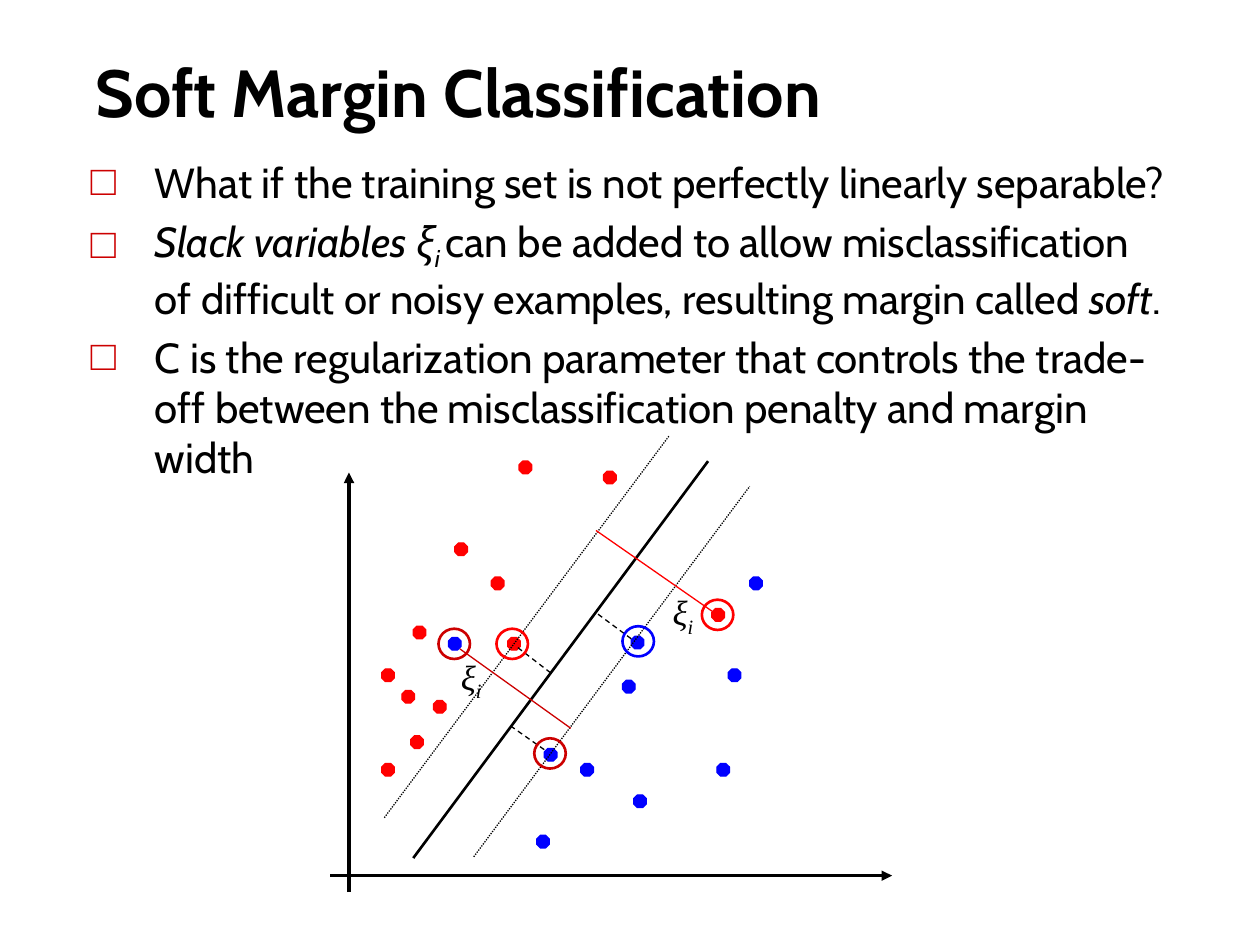
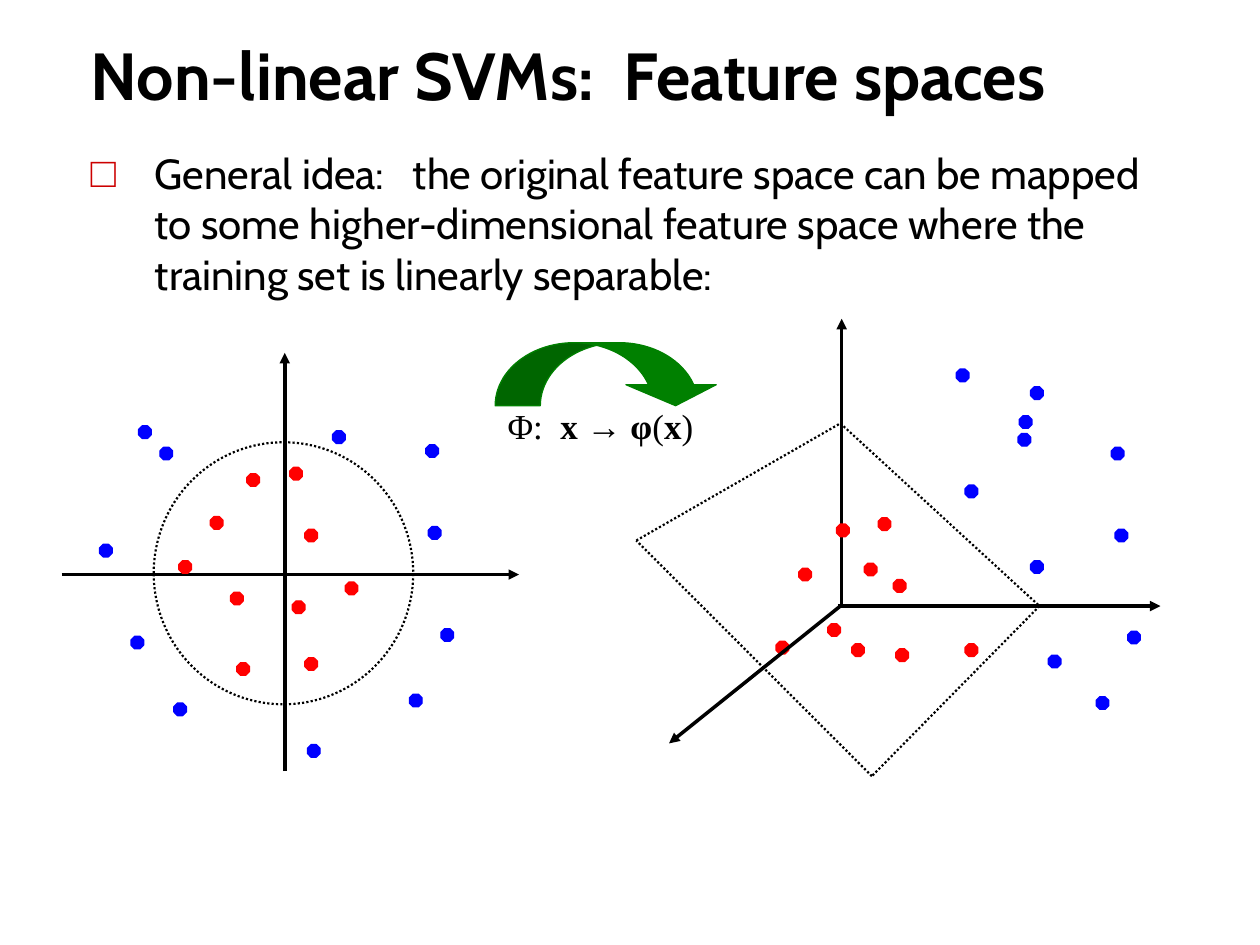
from dataclasses import dataclass
from itertools import pairwise
from typing import Any

from lxml import etree
from pptx import Presentation
from pptx.dml.color import RGBColor
from pptx.enum.dml import MSO_LINE
from pptx.enum.shapes import MSO_CONNECTOR, MSO_SHAPE
from pptx.enum.text import MSO_ANCHOR, MSO_AUTO_SIZE, PP_ALIGN
from pptx.oxml.ns import qn
from pptx.util import Inches, Pt

COLORS = {
    "black": "000000",
    "red": "FF0000",
    "dark_red": "CC0000",
    "blue": "0000FF",
    "green": "008000",
}
BODY_FONT = "Cabin"
MATH_FONT = "Times New Roman"
DOT, RING_W, RING_H = 0.1, 0.25, 0.24
BULLET_INDENT = 0.51


def rgb(name):
    return RGBColor.from_string(COLORS[name])


def inches(*values):
    return [Inches(v) for v in values]


def write(p, text, font=BODY_FONT, size=24, bold=False, italic=False, sub=False):
    r = p.add_run()
    r.text = text
    r.font.name, r.font.size = font, Pt(size)
    r.font.bold, r.font.italic = bold, italic
    r.font.color.rgb = rgb("black")
    if sub:
        r.font._element.set("baseline", "-25000")


def add_bullet(p):
    pPr = p._p.get_or_add_pPr()
    pPr.set("marL", str(Inches(BULLET_INDENT)))
    pPr.set("indent", str(-Inches(BULLET_INDENT)))
    clr = etree.SubElement(pPr, qn("a:buClr"))
    etree.SubElement(clr, qn("a:srgbClr"), val=COLORS["dark_red"])
    etree.SubElement(pPr, qn("a:buChar"), char="□")


def place(sp, box):
    sp.left, sp.top, sp.width, sp.height = inches(*box)


def add_title(slide, text, box):
    sp = slide.shapes.title
    place(sp, box)
    tf = sp.text_frame
    tf.vertical_anchor, tf.auto_size = MSO_ANCHOR.BOTTOM, MSO_AUTO_SIZE.NONE
    p = tf.paragraphs[0]
    p.alignment = PP_ALIGN.LEFT
    write(p, text, size=38, bold=True)


def add_bullets(slide, items, box):
    """Each item is a list of (text, format) runs."""
    sp = slide.placeholders[1]
    place(sp, box)
    tf = sp.text_frame
    tf.auto_size = MSO_AUTO_SIZE.NONE
    for i, runs in enumerate(items):
        p = tf.add_paragraph() if i else tf.paragraphs[0]
        add_bullet(p)
        for text, fmt in runs:
            write(p, text, **fmt)


@dataclass
class Plot:
    """Drawing area whose parts are placed from its top left corner."""
    slide: Any
    left: float
    top: float

    def shape(self, kind, x, y, w, h, line, width=0.75, fill=None):
        box = inches(self.left + x, self.top + y, w, h)
        sp = self.slide.shapes.add_shape(kind, *box)
        sp.shadow.inherit = False
        sp.line.color.rgb, sp.line.width = rgb(line), Pt(width)
        if fill:
            sp.fill.solid()
            sp.fill.fore_color.rgb = rgb(fill)
        else:
            sp.fill.background()
        return sp

    def dots(self, color, corners):
        for x, y in corners:
            self.shape(MSO_SHAPE.OCTAGON, x, y, DOT, DOT, color, fill=color)

    def rings(self, color, corners):
        for x, y in corners:
            self.shape(MSO_SHAPE.OVAL, x, y, RING_W, RING_H, color, 1.5)

    def line(self, start, end, color="black", width=0.75, dash=None):
        ends = [v for x, y in (start, end)
                for v in inches(self.left + x, self.top + y)]
        c = self.slide.shapes.add_connector(MSO_CONNECTOR.STRAIGHT, *ends)
        c.line.color.rgb, c.line.width = rgb(color), Pt(width)
        if dash:
            c.line.dash_style = dash
        etree.SubElement(c._element.spPr, qn("a:effectLst"))
        return c

    def axis(self, start, end):
        c = self.line(start, end, width=2)
        etree.SubElement(c.line._get_or_add_ln(), qn("a:tailEnd"), type="triangle")

    def label(self, x, y, w, runs):
        box = inches(self.left + x, self.top + y, w, 0.43)
        tf = self.slide.shapes.add_textbox(*box).text_frame
        tf.word_wrap = True
        for text, fmt in runs:
            write(tf.paragraphs[0], text, font=MATH_FONT, size=20, **fmt)


def draw_soft_margin(plot):
    plot.axis((0.17, 3.68), (0.17, 0.35))
    plot.axis((0.02, 3.55), (4.48, 3.55))
    plot.dots("red", [
        (1.3, 1.18), (0.68, 1.57), (0.84, 2.16), (0.43, 2.66), (1.01, 0.91),
        (0.43, 1.91), (0.59, 2.08), (1.43, 1.66), (1.52, 0.26), (2.19, 0.34),
        (0.66, 2.44), (3.05, 1.43)])
    plot.dots("blue", [
        (2.41, 1.65), (2.01, 2.66), (3.09, 2.66), (1.66, 3.23), (2.34, 2.0),
        (1.72, 2.54), (2.43, 2.91), (3.18, 1.91), (3.35, 1.18), (0.96, 1.66)])

    plot.line((0.68, 3.41), (3.02, 0.26), width=1.5)
    margins = [((1.16, 3.4), (3.35, 0.46)), ((0.45, 3.09), (2.71, 0.06))]
    for start, end in margins:
        plot.line(start, end, dash=MSO_LINE.ROUND_DOT)
    support_distances = [((2.41, 1.67), (2.14, 1.47)),
                         ((1.72, 2.55), (1.45, 2.36)),
                         ((1.77, 1.94), (1.51, 1.74))]
    for start, end in support_distances:
        plot.line(start, end, dash=MSO_LINE.DASH)
    plot.line((3.05, 1.45), (2.13, 0.81), "red")
    plot.line((1.05, 1.75), (1.93, 2.38), "dark_red")

    for x, y in [(2.64, 1.24), (0.96, 1.75)]:
        plot.label(x, y, 0.77, [("ξ", {"italic": True}),
                                ("i", {"italic": True, "sub": True})])
    plot.rings("red", [(1.34, 1.59), (2.97, 1.36)])
    plot.rings("dark_red", [(1.64, 2.46), (0.88, 1.59)])
    plot.rings("blue", [(2.34, 1.57)])


def draw_input_space(plot):
    plot.axis((1.86, 3.32), (1.86, 0))
    plot.axis((0.09, 1.76), (3.72, 1.76))
    plot.dots("red", [
        (1.9, 0.91), (1.27, 1.3), (1.43, 1.9), (2.02, 2.42), (1.56, 0.96),
        (1.02, 1.65), (1.48, 2.46), (2.02, 1.4), (2.34, 1.82), (1.92, 1.97)])
    plot.dots("blue", [
        (3.0, 1.38), (2.85, 2.71), (0.39, 1.52), (2.04, 3.11), (3.1, 2.19),
        (0.98, 2.78), (0.64, 2.25), (0.7, 0.58), (2.24, 0.62), (0.87, 0.75),
        (2.98, 0.73)])
    boundary = plot.shape(MSO_SHAPE.OVAL, 0.82, 0.71, 2.06, 2.08, "black", 1.25)
    boundary.line.dash_style = MSO_LINE.ROUND_DOT


def draw_feature_space(plot):
    plot.axis((1.68, 2.29), (1.68, 0.03))
    plot.axis((1.65, 2.31), (4.21, 2.31))
    plot.dots("red", [
        (1.97, 1.61), (1.34, 2.01), (1.76, 2.61), (2.66, 2.61), (1.64, 1.66),
        (1.86, 1.97), (2.11, 2.65), (2.09, 2.1), (1.57, 2.45), (1.16, 2.59)])
    plot.dots("blue", [
        (3.85, 1.7), (3.7, 3.03), (3.18, 0.57), (3.18, 1.95), (3.95, 2.51),
        (2.66, 1.35), (3.32, 2.7), (3.09, 0.8), (3.08, 0.94), (2.59, 0.43),
        (3.82, 1.05)])
    plot.axis((1.67, 2.31), (0.31, 3.4))
    plane = [(1.67, 0.86), (3.25, 2.31), (1.92, 3.66), (0.05, 1.79)]
    for start, end in pairwise(plane + plane[:1]):
        plot.line(start, end, width=1.25, dash=MSO_LINE.ROUND_DOT)


def draw_mapping(plot):
    arrow = plot.shape(MSO_SHAPE.CURVED_DOWN_ARROW, 0, 0, 1.79, 0.5,
                       "green", fill="green")
    for i, value in enumerate((0.717, 1.433, 0.333)):
        arrow.adjustments[i] = value
    plot.label(0, 0.44, 1.84, [("Φ:  ", {}), ("x → φ", {"bold": True}), ("(", {}),
                               ("x", {"bold": True}), (")", {})])


def build_soft_margin_slide(slide):
    add_title(slide, "Soft Margin Classification", (0.66, 0.27, 8.75, 0.82))
    add_bullets(slide, [
        [("What if the training set is not perfectly linearly separable?", {})],
        [("Slack variables ξ", {"italic": True}),
         ("i ", {"italic": True, "sub": True}),
         ("can be added to allow misclassification of difficult or noisy "
          "examples, resulting margin called ", {}),
         ("soft", {"italic": True}), (".", {})],
        [("C is the regularization parameter that controls the trade-off "
          "between the misclassification penalty and margin width", {})],
    ], (0.62, 1.19, 8.75, 5.38))
    draw_soft_margin(Plot(slide, 2.6, 3.4))


def build_feature_spaces_slide(slide):
    add_title(slide, "Non-linear SVMs:  Feature spaces", (0.62, 0.15, 8.75, 0.8))
    add_bullets(slide, [
        [("General idea:   the original feature space can be mapped to some "
          "higher-dimensional feature space where the training set is "
          "linearly separable:", {})],
    ], (0.62, 1.12, 8.75, 5.38))
    draw_input_space(Plot(slide, 0.4, 2.8))
    draw_feature_space(Plot(slide, 5, 2.5))
    draw_mapping(Plot(slide, 3.93, 2.72))


def main():
    prs = Presentation()
    prs.slide_width, prs.slide_height = inches(10, 7.5)
    for build in (build_soft_margin_slide, build_feature_spaces_slide):
        build(prs.slides.add_slide(prs.slide_layouts[1]))
    prs.save("out.pptx")


if __name__ == "__main__":
    main()
